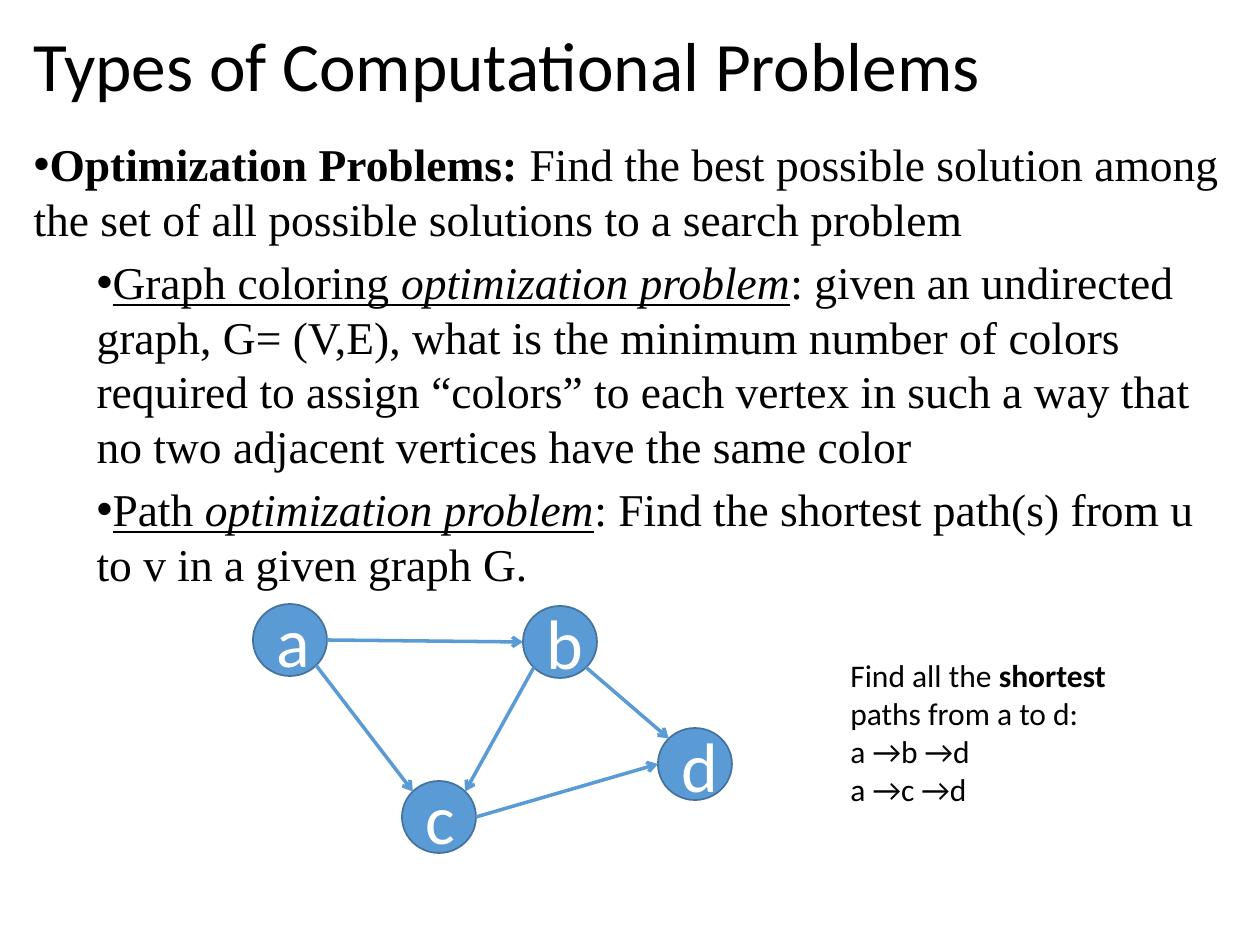
from math import cos, radians, sin

from lxml.etree import SubElement
from pptx import Presentation
from pptx.dml.color import RGBColor
from pptx.enum.shapes import MSO_CONNECTOR, MSO_SHAPE
from pptx.enum.text import MSO_ANCHOR, MSO_AUTO_SIZE, PP_ALIGN
from pptx.oxml.ns import qn
from pptx.util import Emu, Pt


def px(n):
    return Emu(round(n * 914400 / 126))


def rgb(value):
    return RGBColor.from_string(value)


class Deck:
    sans, serif = "Calibri", "Times New Roman"
    ink, white = "000000", "FFFFFF"
    blue, edge = "5B9BD5", "43739E"
    node_w, node_h = 74, 72

    def __init__(self, slide):
        self.slide = slide
        self.group = slide.shapes.add_group_shape().shapes

    def place(self, sp, x, y, w, h):
        sp.left, sp.top, sp.width, sp.height = map(px, (x, y, w, h))

    def font(self, p, size, name, color):
        p.font.size, p.font.name = Pt(size), name
        p.font.color.rgb = rgb(color)

    def runs(self, p, parts):
        """Each part is (text, style), with style letters b, i and u."""
        for text, style in parts:
            r = p.add_run()
            r.text = text
            for letter, attr in (("b", "bold"), ("i", "italic"), ("u", "underline")):
                if letter in style:
                    setattr(r.font, attr, True)

    def title(self, text, *box):
        sp = self.slide.shapes.title
        self.place(sp, *box)
        tf = sp.text_frame
        tf.text = text
        tf.auto_size = MSO_AUTO_SIZE.NONE
        tf.vertical_anchor = MSO_ANCHOR.MIDDLE
        p = tf.paragraphs[0]
        p.alignment, p.line_spacing = PP_ALIGN.LEFT, 0.9
        self.font(p, 39.6, self.sans, self.ink)

    def body(self, items, *box):
        sp = self.slide.placeholders[1]
        self.place(sp, *box)
        tf = sp.text_frame
        tf.auto_size = MSO_AUTO_SIZE.NONE
        for i, (level, parts) in enumerate(items):
            p = tf.add_paragraph() if i else tf.paragraphs[0]
            p.level, p.line_spacing = level, 1.0
            p.space_before = Pt(5 if level else 10)
            self.font(p, 26, self.serif, self.ink)
            pPr = p._p.get_or_add_pPr()
            pPr.set("marL", str(px(63 * level)))
            pPr.set("indent", "0")
            # Bullet goes in ahead of the default run properties
            bullet_font = pPr.makeelement(qn("a:buFont"), {"typeface": "Arial"})
            bullet = pPr.makeelement(qn("a:buChar"), {"char": "•"})
            for el in (bullet_font, bullet):
                pPr.find(qn("a:defRPr")).addprevious(el)
            self.runs(p, parts)

    def node(self, text, x, y):
        sp = self.group.add_shape(MSO_SHAPE.OVAL, px(x), px(y),
                                  px(self.node_w), px(self.node_h))
        sp.shadow.inherit = False
        sp.fill.solid()
        sp.fill.fore_color.rgb = rgb(self.blue)
        sp.line.color.rgb = rgb(self.edge)
        sp.line.width = Pt(1)
        tf = sp.text_frame
        tf.text = text
        tf.vertical_anchor = MSO_ANCHOR.MIDDLE
        p = tf.paragraphs[0]
        p.alignment = PP_ALIGN.CENTER
        self.font(p, 40, self.sans, self.white)

    def rim(self, corner, angle):
        """Point on a node's outline, angle clockwise from the right."""
        x, y = corner
        a = radians(angle)
        return (px(x + self.node_w / 2 * (1 + cos(a))),
                px(y + self.node_h / 2 * (1 + sin(a))))

    def arrow(self, start, end):
        cx = self.group.add_connector(MSO_CONNECTOR.STRAIGHT, *start, *end)
        cx.line.color.rgb = rgb(self.blue)
        cx.line.width = Pt(2)
        SubElement(cx.line._get_or_add_ln(), qn("a:tailEnd"), type="arrow")
        SubElement(cx._element.spPr, qn("a:effectLst"))

    def note(self, lines, *box):
        sp = self.group.add_textbox(*map(px, box))
        tf = sp.text_frame
        tf.word_wrap = True
        tf.auto_size = MSO_AUTO_SIZE.SHAPE_TO_FIT_TEXT
        for i, parts in enumerate(lines):
            p = tf.add_paragraph() if i else tf.paragraphs[0]
            self.font(p, 18, self.sans, self.ink)
            self.runs(p, parts)


def main():
    prs = Presentation()
    prs.slide_width, prs.slide_height = px(1260), px(945)
    deck = Deck(prs.slides.add_slide(prs.slide_layouts[1]))

    # Title and list
    deck.title("Types of Computational Problems", 21, 23, 1212, 93)
    deck.body([
        (0, [("Optimization Problems: ", "b"),
             ("Find the best possible solution among the set of all possible "
              "solutions to a search problem", "")]),
        (1, [("Graph coloring ", "u"), ("optimization problem", "iu"),
             (": given an undirected graph, G= (V,E), what is the minimum number "
              "of colors required to assign “colors” to each vertex in such a way "
              "that no two adjacent vertices have the same color", "")]),
        (1, [("Path ", "u"), ("optimization problem", "iu"),
             (": Find the shortest path(s) from u to v in a given graph G.", "")]),
    ], 21, 130, 1212, 722)

    # Graph: nodes, then edges with their angles at both ends
    nodes = {"a": (253, 604), "b": (523, 606), "c": (402, 781), "d": (658, 728)}
    for name, corner in nodes.items():
        deck.node(name, *corner)
    edges = [("a", 0, "b", 180), ("a", 45, "c", 225), ("b", 135, "c", 315),
             ("c", 0, "d", 180), ("b", 45, "d", 225)]
    for tail, out, head, into in edges:
        deck.arrow(deck.rim(nodes[tail], out), deck.rim(nodes[head], into))

    # Answer beside the graph
    deck.note([
        [("Find all the ", ""), ("shortest", "b"), (" paths from a to d:", "")],
        [("a →b →d", "")],
        [("a →c →d", "")],
    ], 838, 650, 304, 165)

    prs.save("out.pptx")


if __name__ == "__main__":
    main()
